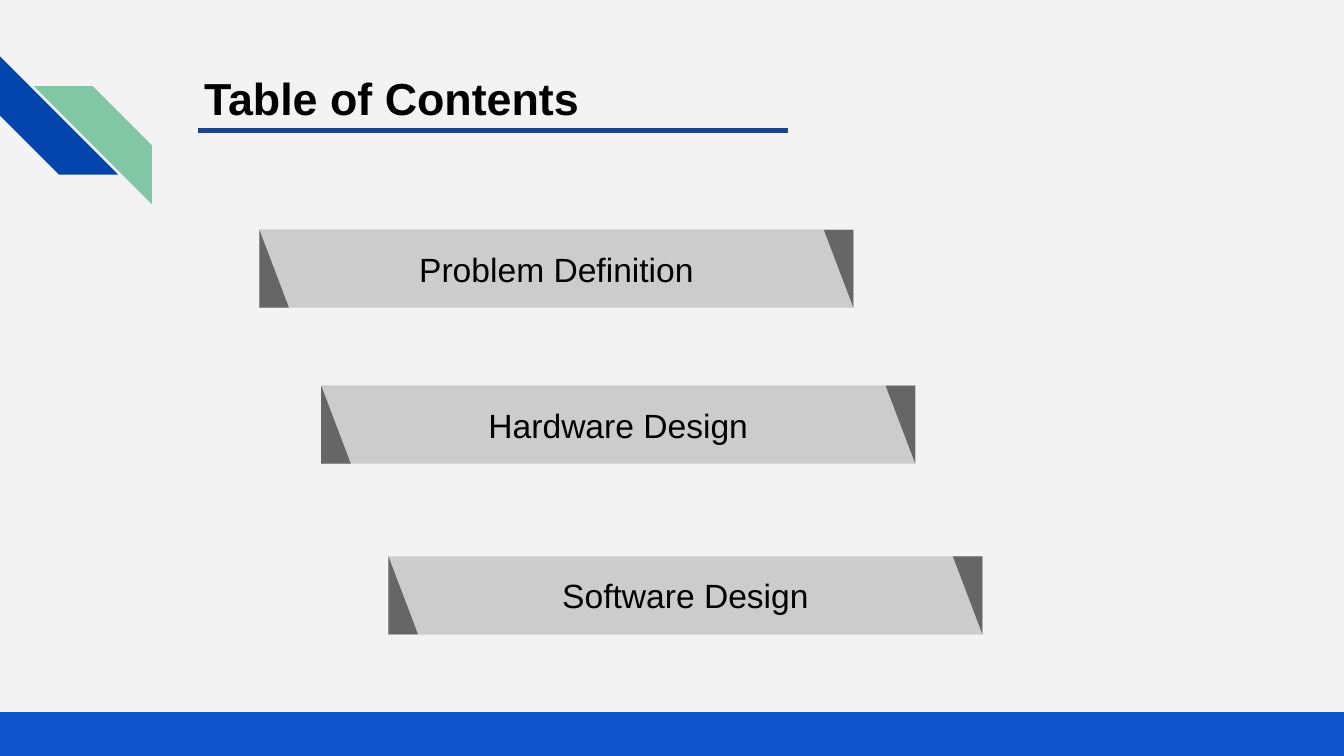
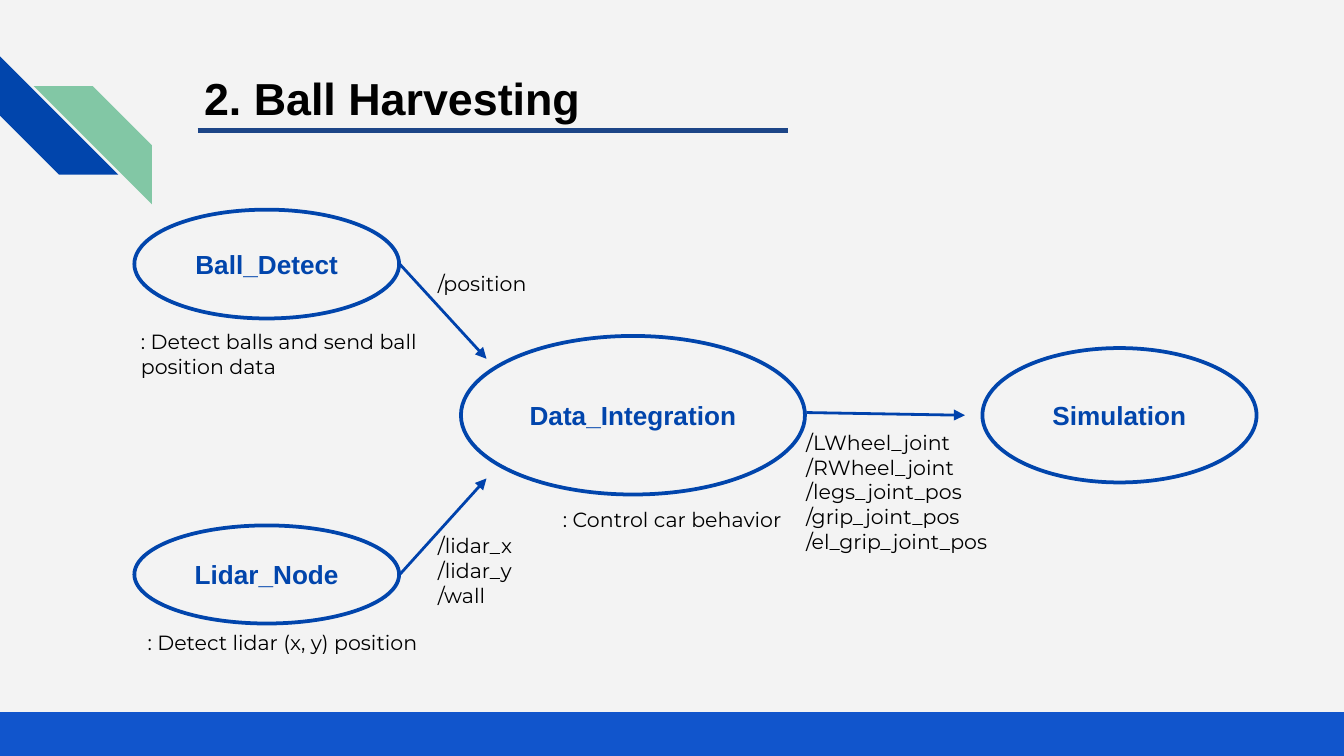
"""Build the contents slide and the ball harvesting node diagram."""
from dataclasses import dataclass

from lxml import etree
from pptx import Presentation
from pptx import util as u
from pptx.dml import color
from pptx.enum import shapes, text
from pptx.oxml import ns
from pptx.util import Inches

BACKGROUND, BAND, RULE = "F3F3F3", "1155CC", "1C4587"
BLUE, GREEN, ARROW, BLACK = "0145AC", "82C7A5", "0042AC", "000000"
RIBBON, RIBBON_EDGE, FOLD, WHITE = "CCCCCC", "D9D9D9", "666666", "FFFFFF"
HEAD_FONT, BODY_FONT = "Arial", "Montserrat"


@dataclass(frozen=True)
class Box:
    """A place in inches."""
    x: float
    y: float
    w: float
    h: float

    def lengths(self) -> tuple:
        """Return left, top, width and height as lengths."""
        return tuple(Inches(v) for v in (self.x, self.y, self.w, self.h))


@dataclass(frozen=True)
class Style:
    """A text style."""
    size: float
    font: str = HEAD_FONT
    color: str = BLACK
    bold: bool = False
    centred: bool = False


@dataclass(frozen=True)
class Label:
    """Words and the box that holds them."""
    words: str
    box: Box


@dataclass(frozen=True)
class Line:
    """A straight line between two points in inches."""
    x1: float
    y1: float
    x2: float
    y2: float


TITLE = Style(24, bold=True)
RIBBON_TEXT = Style(18, centred=True)
NODE_TEXT = Style(14, color=BLUE, bold=True, centred=True)
NOTE = Style(11, BODY_FONT)

RIBBON_W, RIBBON_H, FOLD_W = 4.42, 0.58, 0.22
CONTENTS = [
    Label("Problem Definition", Box(1.93, 1.71, RIBBON_W, RIBBON_H)),
    Label("Hardware Design", Box(2.39, 2.87, RIBBON_W, RIBBON_H)),
    Label("Software Design", Box(2.89, 4.14, RIBBON_W, RIBBON_H)),
]
NODES = [
    Label("Data_Integration", Box(3.43, 2.5, 2.56, 1.18)),
    Label("Lidar_Node", Box(1, 3.91, 1.97, 0.73)),
    Label("Ball_Detect", Box(1, 1.56, 1.97, 0.81)),
    Label("Simulation", Box(7.31, 2.59, 2.04, 1)),
]
ARROWS = [
    Line(2.97, 1.96, 3.62, 2.67),
    Line(2.97, 4.28, 3.62, 3.56),
    Line(6, 3.07, 7.18, 3.09),
]
NOTES = [
    Label(": Detect balls and send ball position data", Box(0.95, 2.4, 2.43, 0.47)),
    Label(": Control car behavior", Box(4.09, 3.72, 1.84, 0.47)),
    Label(": Detect lidar (x, y) position", Box(1, 4.64, 2.43, 0.28)),
    Label("/position", Box(3.16, 1.97, 0.91, 0.28)),
    Label("/lidar_x\n/lidar_y\n/wall", Box(3.16, 3.92, 1.28, 0.65)),
    Label("/LWheel_joint\n/RWheel_joint\n/legs_joint_pos\n/grip_joint_pos\n/el_grip_joint_pos",
          Box(5.9, 3.15, 1.59, 1.02)),
]


def rgb(value: str) -> color.RGBColor:
    """Turn a hex string into a colour."""
    return color.RGBColor.from_string(value)


def write(sp, words: str, style: Style, inset: float = 0.05) -> None:
    """Write styled paragraphs into a shape."""
    tf = sp.text_frame
    tf.word_wrap = True
    tf.margin_left = tf.margin_right = Inches(0.1)
    tf.margin_top = tf.margin_bottom = Inches(inset)
    tf.vertical_anchor = text.MSO_ANCHOR.MIDDLE if style.centred else text.MSO_ANCHOR.TOP
    tf.text = words
    for p in tf.paragraphs:
        p.alignment = text.PP_ALIGN.CENTER if style.centred else text.PP_ALIGN.LEFT
        p.font.name = style.font
        p.font.size = u.Pt(style.size)
        p.font.bold = style.bold
        p.font.color.rgb = rgb(style.color)


def add_shape(parent, kind, box: Box, fill: str, line: str = "",
              width: float = 0.75, rotation: float = 0):
    """Add a filled preset shape, with an outline if a line colour is given."""
    sp = parent.add_shape(kind, *box.lengths())
    sp.shadow.inherit = False
    sp.rotation = rotation
    sp.fill.solid()
    sp.fill.fore_color.rgb = rgb(fill)
    if line:
        sp.line.color.rgb = rgb(line)
        sp.line.width = u.Pt(width)
    else:
        sp.line.fill.background()
    return sp


def add_text(s, label: Label, style: Style, inset: float = 0.05) -> None:
    """Add a text box."""
    write(s.shapes.add_textbox(*label.box.lengths()), label.words, style, inset)


def add_line(s, line: Line, stroke: str, width: float, arrow: bool = False) -> None:
    """Add a straight line, with an arrowhead at its end on request."""
    ends = (Inches(v) for v in (line.x1, line.y1, line.x2, line.y2))
    cx = s.shapes.add_connector(shapes.MSO_CONNECTOR.STRAIGHT, *ends)
    cx.line.color.rgb = rgb(stroke)
    cx.line.width = u.Pt(width)
    if arrow:
        ln = cx._element.spPr.find(ns.qn("a:ln"))
        etree.SubElement(ln, ns.qn("a:tailEnd"), type="triangle")
    etree.SubElement(cx._element.spPr, ns.qn("a:effectLst"))


def add_ribbon(s, label: Label) -> None:
    """Add a grouped ribbon with a folded triangle at each end."""
    group = s.shapes.add_group_shape().shapes
    box = label.box
    sp = add_shape(group, shapes.MSO_SHAPE.RECTANGLE, box, RIBBON, RIBBON_EDGE)
    write(sp, label.words, RIBBON_TEXT, 0.1)
    for x, rotation in ((box.x, 0), (box.x + box.w - FOLD_W, 180)):
        add_shape(group, shapes.MSO_SHAPE.RIGHT_TRIANGLE,
                  Box(x, box.y, FOLD_W, box.h), FOLD, rotation=rotation)


def add_node(s, label: Label) -> None:
    """Add an outlined ellipse with a nearly clear fill."""
    sp = add_shape(s.shapes, shapes.MSO_SHAPE.OVAL, label.box, WHITE, BLUE, 2)
    fill = sp._element.spPr.find(ns.qn("a:solidFill"))
    etree.SubElement(fill[0], ns.qn("a:alpha"), val="3000")
    write(sp, label.words, NODE_TEXT)


def add_slide(prs, title: str):
    """Add a slide with the shared background, band, stripes and title."""
    s = prs.slides.add_slide(prs.slide_layouts[6])
    s.background.fill.solid()
    s.background.fill.fore_color.rgb = rgb(BACKGROUND)
    add_shape(s.shapes, shapes.MSO_SHAPE.RECTANGLE, Box(0, 5.32, 10, 0.31), BAND, BAND, 3)
    stripes = s.shapes.add_group_shape().shapes
    for x, y, fill, rotation in ((0, 0.42, BLUE, 270), (0.25, 0.64, GREEN, 90)):
        add_shape(stripes, shapes.MSO_SHAPE.DIAGONAL_STRIPE, Box(x, y, 0.88, 0.88),
                  fill, rotation=rotation)
    add_line(s, Line(1.47, 0.97, 5.86, 0.97), RULE, 3)
    add_text(s, Label(title, Box(1.42, 0.43, 7.7, 1)), TITLE, 0.1)
    return s


def contents_slide(prs) -> None:
    """Build the table of contents."""
    s = add_slide(prs, "Table of Contents")
    for label in CONTENTS:
        add_ribbon(s, label)


def harvesting_slide(prs) -> None:
    """Build the node diagram."""
    s = add_slide(prs, "2. Ball Harvesting")
    for node in NODES:
        add_node(s, node)
    for arrow in ARROWS:
        add_line(s, arrow, ARROW, 1.5, arrow=True)
    for note in NOTES:
        add_text(s, note, NOTE)


def main() -> None:
    """Build and save the presentation."""
    prs = Presentation()
    prs.slide_width = Inches(10)
    prs.slide_height = Inches(10 * 9 / 16)
    contents_slide(prs)
    harvesting_slide(prs)
    prs.save("out.pptx")


if __name__ == "__main__":
    main()
